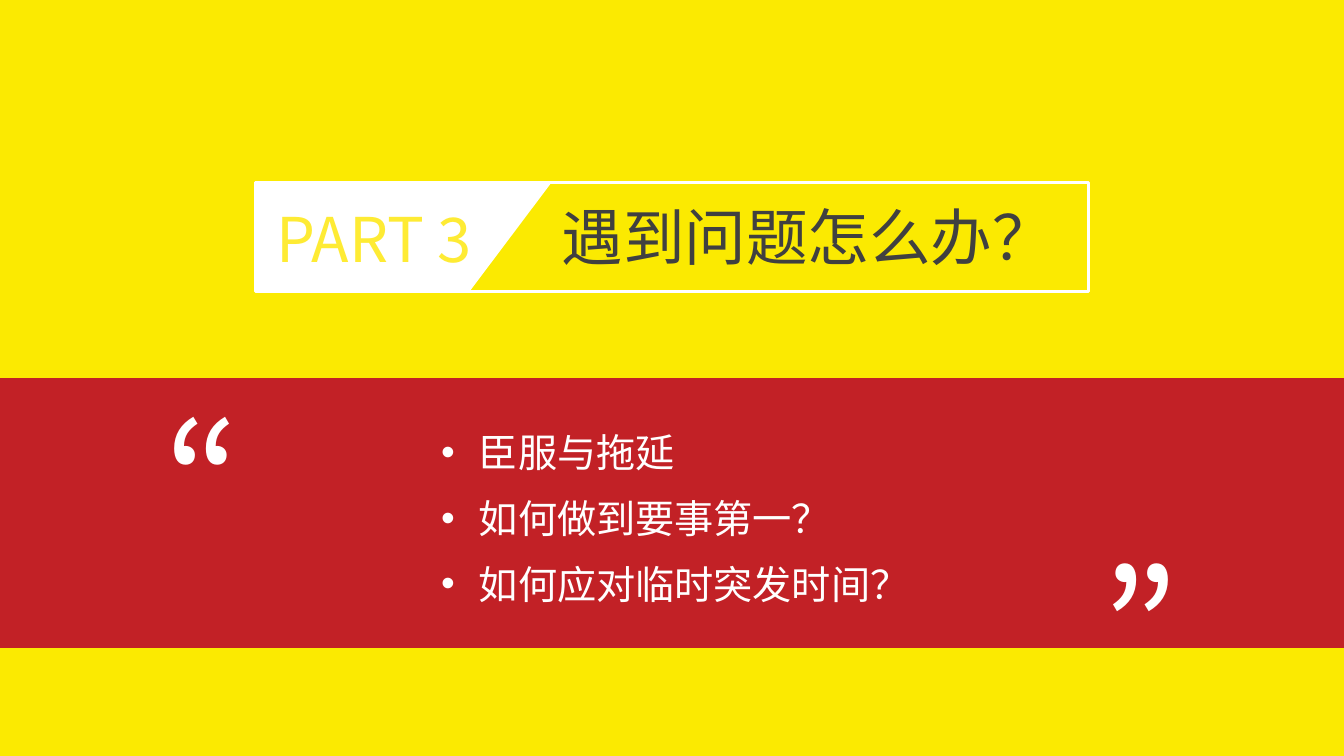
"""Build the section slide for part 3: a title frame above a red band of points."""
from lxml import etree
from pptx import Presentation
from pptx.dml.color import RGBColor
from pptx.enum.shapes import MSO_SHAPE
from pptx.enum.text import MSO_AUTO_SIZE, PP_ALIGN
from pptx.oxml.ns import qn
from pptx.util import Cm, Pt

RECTANGLE = MSO_SHAPE.RECTANGLE
GROW = MSO_AUTO_SIZE.SHAPE_TO_FIT_TEXT
JUSTIFY = PP_ALIGN.JUSTIFY

YELLOW = RGBColor(0xFB, 0xEA, 0x01)
PALE_YELLOW = RGBColor(0xFE, 0xEB, 0x34)
RED = RGBColor(0xC2, 0x21, 0x26)
WHITE = RGBColor(0xFF, 0xFF, 0xFF)
GREY = RGBColor(0x40, 0x40, 0x40)

SANS = "Noto Sans CJK SC"
QUOTE_SANS = "Noto Sans CJK JP"

SLIDE_SIZE = (33.87, 19.05)
BAND = (0, 9.53, 33.87, 6.8)
FRAME = (6.43, 4.6, 21, 2.75)
TAB_TOP, TAB_BOTTOM = 7.47, 5.4
INDENT = 0.95

POINTS = ["臣服与拖延", "如何做到要事第一？", "如何应对临时突发时间？"]
QUOTE_FORMAT = {"name": QUOTE_SANS, "size": Pt(115), "color": WHITE}
TEXTS = [
    {"lines": ["PART 3"], "place": (6.71, 4.95, 6.91, 2.13),
     "format": {"name": SANS, "size": Pt(44), "color": PALE_YELLOW}},
    {"lines": POINTS, "place": (10.87, 10.19, 16.56, 5.28), "bulleted": True,
     "format": {"name": SANS, "size": Pt(28), "color": WHITE}},
    {"lines": ["“"], "place": (3.89, 9.5, 2.49, 5.18), "format": QUOTE_FORMAT},
    {"lines": ["“"], "place": (27.46, 11.25, 2.49, 5.18), "rotation": 180,
     "format": QUOTE_FORMAT},
    {"lines": ["遇到问题怎么办？"], "place": (13.9, 4.9, 14.35, 2.13),
     "format": {"name": SANS, "size": Pt(44), "color": GREY}},
]


def paint(shape, color):
    shape.shadow.inherit = False
    shape.fill.solid()
    shape.fill.fore_color.rgb = color
    shape.line.fill.background()


def add_band(slide):
    band = slide.shapes.add_shape(RECTANGLE, *map(Cm, BAND))
    paint(band, RED)


def add_frame(slide):
    frame = slide.shapes.add_shape(RECTANGLE, *map(Cm, FRAME))
    frame.shadow.inherit = False
    frame.fill.background()
    frame.line.color.rgb = WHITE
    frame.line.width = Pt(2)


def add_tab(slide):
    left, top, _, height = FRAME
    corners = [(left + TAB_TOP, top), (left + TAB_BOTTOM, top + height),
               (left, top + height)]
    builder = slide.shapes.build_freeform(Cm(left), Cm(top))
    builder.add_line_segments([(Cm(x), Cm(y)) for x, y in corners], close=True)
    paint(builder.convert_to_shape(), WHITE)


def add_bullet(para):
    properties = para._p.get_or_add_pPr()
    properties.set("marL", str(Cm(INDENT)))
    properties.set("indent", str(-Cm(INDENT)))
    etree.SubElement(properties, qn("a:buFont"), typeface="Arial")
    etree.SubElement(properties, qn("a:buChar"), char="•")
    para.alignment = JUSTIFY
    para.line_spacing = 1.4


def add_span(para, text, format_values):
    span = para.add_run()
    span.text = text
    for name, value in format_values.items():
        if name == "color":
            span.font.color.rgb = value
        else:
            setattr(span.font, name, value)
    etree.SubElement(span.font._element, qn("a:ea"),
                     typeface=format_values["name"])


def add_text(slide, lines, place, format, bulleted=False, rotation=0):
    box = slide.shapes.add_textbox(*map(Cm, place))
    box.rotation = rotation
    frame = box.text_frame
    frame.word_wrap = True
    frame.auto_size = GROW
    for index, line in enumerate(lines):
        para = frame.add_paragraph() if index else frame.paragraphs[0]
        if bulleted:
            add_bullet(para)
        add_span(para, line, format)


def main():
    deck = Presentation()
    deck.slide_width, deck.slide_height = map(Cm, SLIDE_SIZE)
    page = deck.slides.add_slide(deck.slide_layouts[6])
    page.background.fill.solid()
    page.background.fill.fore_color.rgb = YELLOW
    add_band(page)
    add_frame(page)
    add_tab(page)
    for text in TEXTS:
        add_text(page, **text)
    deck.save("out.pptx")


if __name__ == "__main__":
    main()
